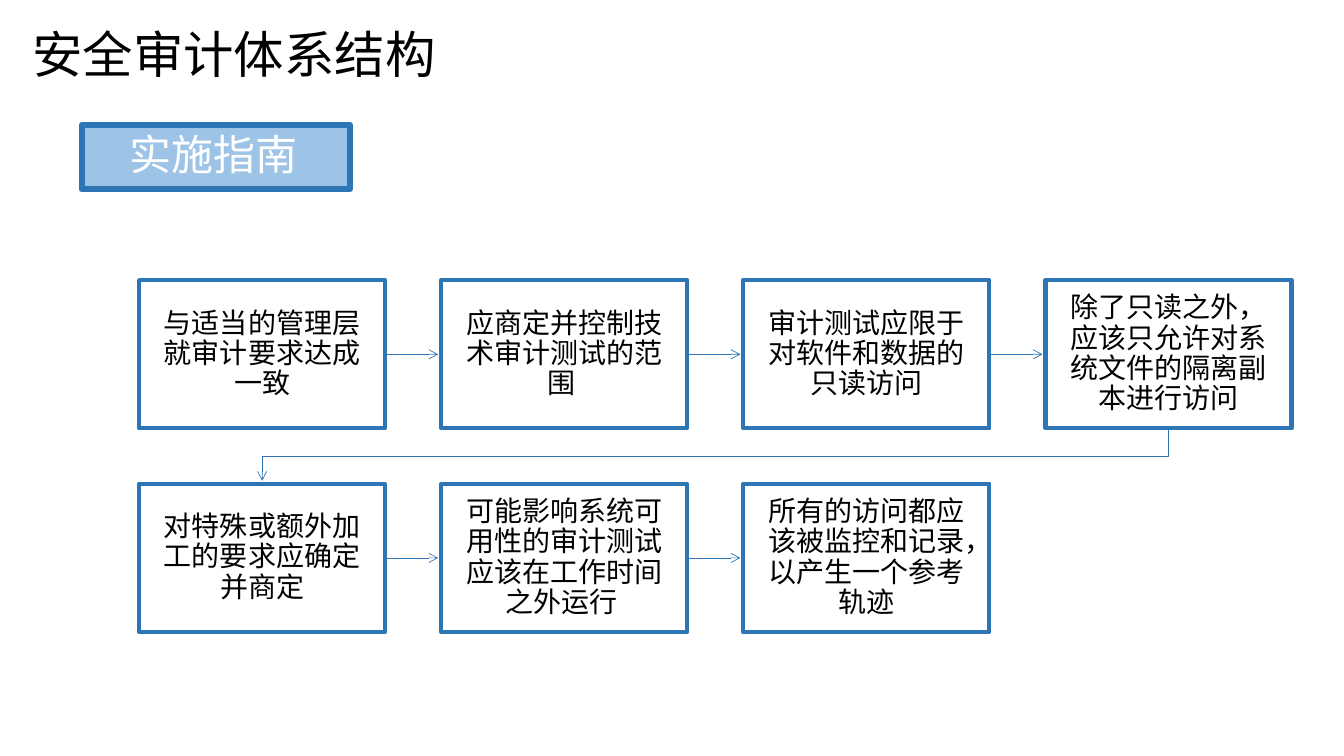
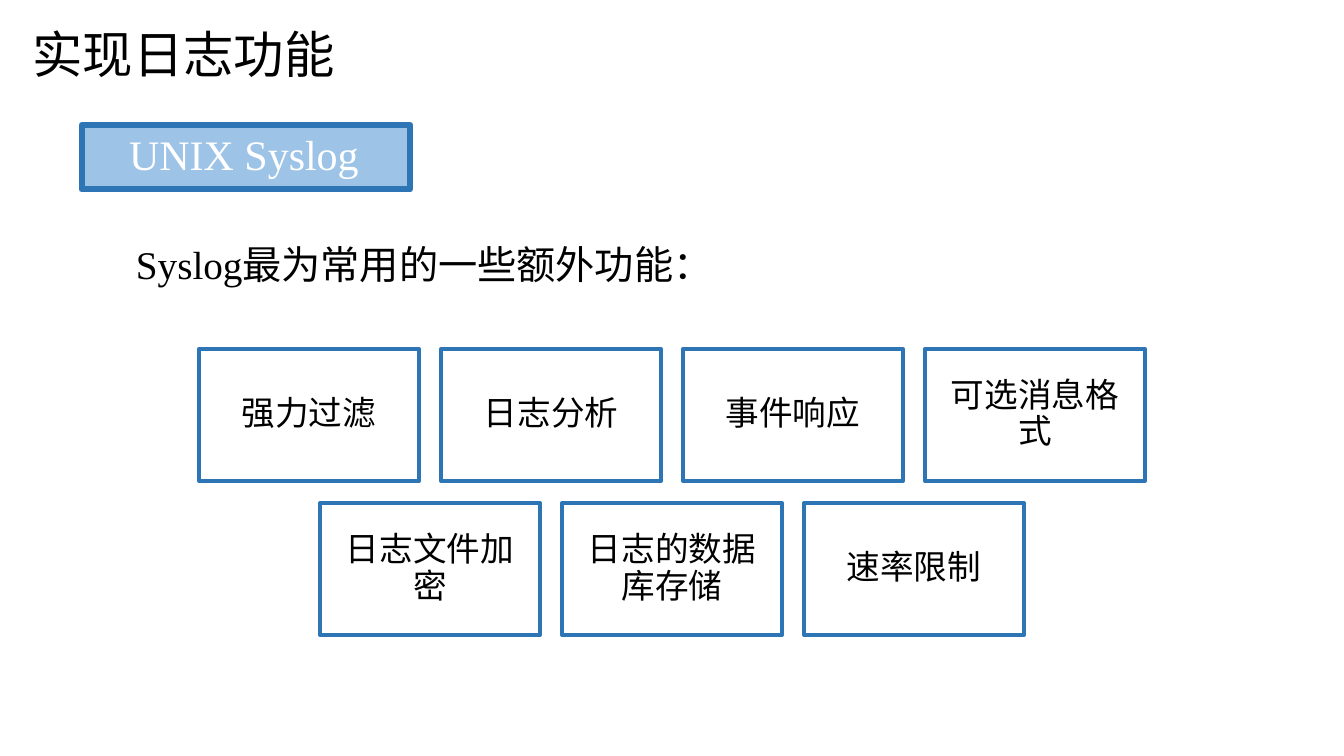
from pptx import Presentation
from pptx.dml.color import RGBColor
from pptx.enum.shapes import MSO_CONNECTOR as CONN, MSO_SHAPE as SHAPE
from pptx.enum.text import MSO_ANCHOR as ANCHOR, PP_ALIGN as ALIGN
from pptx.oxml.ns import qn
from pptx.util import Inches, Pt
from lxml import etree

BLUE, PALE, WHITE, BLACK = "2E75B6", "9DC3E6", "FFFFFF", "000000"
SANS, SERIF = "Noto Sans CJK SC", "Times New Roman"
SLIDE_W, SLIDE_H = 13.33, 7.5
RIGHT_SITE = 3

AUDIT = {
    "title": "安全审计体系结构",
    "tag": ("实施指南", 2.66, SANS),
    "steps": [
        "与适当的管理层就审计要求达成一致",
        "应商定并控制技术审计测试的范围 ",
        "审计测试应限于对软件和数据的只读访问",
        "除了只读之外，应该只允许对系统文件的隔离副本进行访问",
        "对特殊或额外加工的要求应确定并商定",
        "可能影响系统可用性的审计测试应该在工作时间之外运行 ",
        "所有的访问都应该被监控和记录，以产生一个参考轨迹",
    ],
}
SYSLOG = {
    "title": "实现日志功能",
    "tag": ("UNIX Syslog", 3.26, SERIF),
    "lead": "Syslog最为常用的一些额外功能：",
    "rows": [
        ["强力过滤", "日志分析", "事件响应", "可选消息格式"],
        ["日志文件加密", "日志的数据库存储", "速率限制"],
    ],
}


def rgb(value):
    return RGBColor.from_string(value)


def write(s, text, size, font, color=BLACK, align=ALIGN.LEFT, spacing=1.0,
          inset=(0.1, 0.05), anchor=ANCHOR.MIDDLE):
    tf = s.text_frame
    tf.word_wrap = True
    tf.vertical_anchor = anchor
    tf.margin_left = tf.margin_right = Inches(inset[0])
    tf.margin_top = tf.margin_bottom = Inches(inset[1])
    p = tf.paragraphs[0]
    p.alignment = align
    p.line_spacing = spacing
    r = p.add_run()
    r.text = text
    p.font.size = Pt(size)
    p.font.name = font
    p.font.color.rgb = rgb(color)
    props = p._p.pPr.find(qn("a:defRPr"))
    etree.SubElement(props, qn("a:ea"), typeface=SANS)


def add_text(slide, at, text, size, font, **style):
    s = slide.shapes.add_textbox(*map(Inches, at))
    write(s, text, size, font, **style)


def add_box(slide, at, fill, line_width):
    s = slide.shapes.add_shape(SHAPE.RECTANGLE, *map(Inches, at))
    s.shadow.inherit = False
    if fill:
        s.fill.solid()
        s.fill.fore_color.rgb = rgb(fill)
    else:
        s.fill.background()
    s.line.color.rgb = rgb(BLUE)
    s.line.width = Pt(line_width)
    return s


def add_card(slide, at, text, size, font, inset, fill=None):
    s = add_box(slide, at, fill, 3)
    write(s, text, size, font, align=ALIGN.CENTER, spacing=0.9, inset=(inset, inset))
    return s


def style_arrow(s):
    s.line.color.rgb = rgb(BLUE)
    s.line.width = Pt(0.5)
    props = s._element.spPr
    etree.SubElement(props.find(qn("a:ln")), qn("a:tailEnd"), type="arrow")
    if props.find(qn("a:effectLst")) is None:
        etree.SubElement(props, qn("a:effectLst"))


def add_arrow(slide, source, x1, x2, y):
    s = slide.shapes.add_connector(CONN.STRAIGHT, Inches(x1), Inches(y), Inches(x2), Inches(y))
    s.begin_connect(source, RIGHT_SITE)
    style_arrow(s)


def add_bent_arrow(slide, points):
    start, *rest = [(Inches(x), Inches(y)) for x, y in points]
    builder = slide.shapes.build_freeform(*start)
    builder.add_line_segments(rest, close=False)
    s = builder.convert_to_shape()
    s.fill.background()
    style_arrow(s)


def add_slide(prs, content):
    slide = prs.slides.add_slide(prs.slide_layouts[6])
    add_text(slide, (0.21, 0, 5.91, 1.06), content["title"], 36, SANS, inset=(0.11, 0.06))
    text, width, font = content["tag"]
    tag = add_box(slide, (0.81, 1.24, width, 0.64), PALE, 4.33)
    write(tag, text, 30, font, color=WHITE, spacing=0.9, inset=(0.47, 0))
    return slide


def build_audit(prs):
    slide = add_slide(prs, AUDIT)
    left, last_left, top, width, height = 1.38, 10.37, 2.78, 2.44, 1.47
    columns, pitch_y, clearance = 4, 2.02, 0.03
    pitch_x = (last_left - left) / (columns - 1)
    steps = AUDIT["steps"]
    for i, text in enumerate(steps):
        row, column = divmod(i, columns)
        x, y = left + column * pitch_x, top + row * pitch_y
        card = add_card(slide, (x, y, width, height), text, 20, SERIF, 0.16, WHITE)
        if i == len(steps) - 1:
            continue
        if column < columns - 1:
            add_arrow(slide, card, x + width, x + pitch_x - clearance, y + height / 2)
        else:
            start_x, end_x = x + width / 2, left + width / 2
            bottom, next_top = y + height, y + pitch_y
            middle = (bottom + next_top) / 2
            add_bent_arrow(slide, [(start_x, bottom), (start_x, middle),
                                   (end_x, middle), (end_x, next_top - clearance)])


def build_syslog(prs):
    slide = add_slide(prs, SYSLOG)
    add_text(slide, (1.25, 2.19, 6.27, 0.65), SYSLOG["lead"], 28, SERIF,
             align=ALIGN.JUSTIFY, spacing=1.3, anchor=ANCHOR.TOP)
    top, width, height, gap = 3.46, 2.18, 1.31, 0.22
    for row, names in enumerate(SYSLOG["rows"]):
        left = (SLIDE_W - len(names) * (width + gap) + gap) / 2
        y = top + row * (height + gap)
        for column, name in enumerate(names):
            x = left + column * (width + gap)
            add_card(slide, (x, y, width, height), name, 24, SANS, 0.1)


def main():
    prs = Presentation()
    prs.slide_width, prs.slide_height = Inches(SLIDE_W), Inches(SLIDE_H)
    build_audit(prs)
    build_syslog(prs)
    prs.save("out.pptx")


if __name__ == "__main__":
    main()
